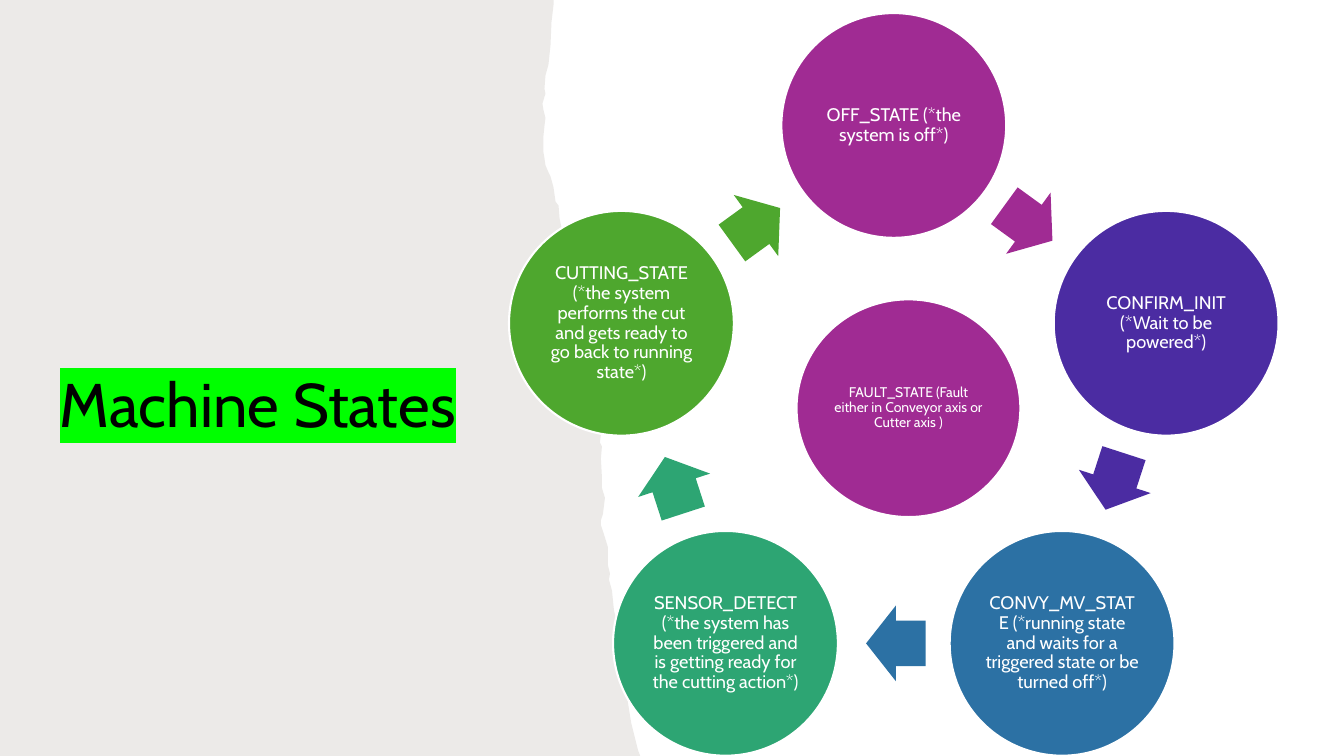
from math import cos, radians, sin

from lxml.etree import SubElement
from pptx import Presentation
from pptx.dml.color import RGBColor
from pptx.enum.shapes import MSO_SHAPE as Shape
from pptx.enum.text import MSO_ANCHOR as Anchor, PP_ALIGN as Align
from pptx.oxml import parse_xml
from pptx.oxml.ns import nsdecls, qn
from pptx.util import Inches, Pt

WHITE = RGBColor(0xFF, 0xFF, 0xFF)
BLACK = RGBColor(0x00, 0x00, 0x00)
STONE = RGBColor(0x82, 0x76, 0x6A)
PURPLE = RGBColor(0xA0, 0x2B, 0x93)
INDIGO = RGBColor(0x4B, 0x2C, 0xA2)
BLUE = RGBColor(0x2C, 0x71, 0xA4)
TEAL = RGBColor(0x2D, 0xA5, 0x73)
GREEN = RGBColor(0x4E, 0xA7, 0x2E)

# Cycle geometry in inches
CENTER_X, CENTER_Y, RADIUS = 8.865, 4.085, 2.84
CIRCLE = 2.23
ARROW_WIDTH, ARROW_HEIGHT = 0.59, 0.75
ARROW_SETBACK = 0.02

STATES = [
    ("OFF_STATE (*the system is off*)", PURPLE),
    ("CONFIRM_INIT (*Wait to be powered*)", INDIGO),
    ("CONVY_MV_STATE (*running state and waits for a triggered state "
     "or be turned off*)", BLUE),
    ("SENSOR_DETECT (*the system has been triggered and is getting ready "
     "for the cutting action*)", TEAL),
    ("CUTTING_STATE (*the system performs the cut and gets ready to go back "
     "to running state*)", GREEN),
]

# Torn edge of the left panel, from top to bottom
TORN_EDGE = [
    (5.49, 0), (5.49, 0.05), (5.47, 0.22), (5.46, 0.45), (5.44, 0.64),
    (5.41, 0.75), (5.4, 0.88), (5.41, 0.93), (5.4, 0.96), (5.38, 1.03),
    (5.39, 1.09), (5.41, 1.17), (5.4, 1.25), (5.39, 1.35), (5.39, 1.51),
    (5.4, 1.57), (5.41, 1.64), (5.44, 1.71), (5.46, 1.75), (5.49, 1.86),
    (5.51, 2), (5.54, 2.04), (5.55, 2.17), (5.57, 2.26), (5.6, 2.38),
    (5.64, 2.47), (5.67, 2.52), (5.68, 2.61), (5.7, 2.74), (5.72, 2.9),
    (5.71, 3.02), (5.74, 3.1), (5.78, 3.14), (5.79, 3.24), (5.83, 3.34),
    (5.87, 3.5), (5.92, 3.69), (5.94, 3.76), (5.96, 3.85), (5.97, 4.05),
    (5.97, 4.2), (5.96, 4.31), (5.95, 4.39), (5.97, 4.43), (5.96, 4.55),
    (5.97, 4.73), (5.97, 4.84), (6, 4.94), (5.99, 5.02), (5.98, 5.1),
    (5.96, 5.16), (5.96, 5.21), (5.99, 5.3), (6.03, 5.43), (6.03, 5.61),
    (6.05, 5.69), (6.04, 5.75), (6.07, 5.86), (6.09, 6.06), (6.12, 6.17),
    (6.14, 6.29), (6.16, 6.34), (6.14, 6.39), (6.16, 6.45), (6.16, 6.54),
    (6.17, 6.69), (6.17, 6.75), (6.18, 6.83), (6.22, 6.92), (6.26, 7.17),
    (6.33, 7.45), (6.35, 7.5),
]


def write_text(shape, text, size, color, frame_format):
    frame = shape.text_frame
    for name, value in frame_format.items():
        setattr(frame, name, value)
    paragraph = frame.paragraphs[0]
    paragraph.alignment = Align.CENTER
    paragraph.line_spacing = 0.9
    run = paragraph.add_run()
    run.text = text
    run.font.size = Pt(size)
    run.font.name = "Cabin"
    run.font.color.rgb = color
    return run


def add_state(left, top, width, height, text, color, size, inset):
    circle = slide.shapes.add_shape(
        Shape.OVAL, Inches(left), Inches(top), Inches(width), Inches(height))
    circle.shadow.inherit = False
    circle.fill.solid()
    circle.fill.fore_color.rgb = color
    circle.line.color.rgb = WHITE
    circle.line.width = Pt(1.5)
    margins = {f"margin_{side}": Inches(inset)
               for side in ("left", "top", "right", "bottom")}
    write_text(circle, text, size, WHITE,
               {"word_wrap": True, "vertical_anchor": Anchor.MIDDLE, **margins})


presentation = Presentation()
presentation.slide_width = Inches(13.33)
presentation.slide_height = Inches(7.5)
slide = presentation.slides.add_slide(presentation.slide_layouts[6])

# Left panel with a torn edge
builder = slide.shapes.build_freeform(0, 0)
builder.add_line_segments(
    [(Inches(x), Inches(y)) for x, y in TORN_EDGE + [(0, 7.5)]], close=True)
panel = builder.convert_to_shape()
panel.shadow.inherit = False
panel.line.fill.background()
panel.fill.solid()
panel.fill.fore_color.rgb = STONE
panel_color = next(panel.element.spPr.iter(qn("a:srgbClr")))
SubElement(panel_color, qn("a:alpha"), val="15000")

# Highlighted title
title = slide.shapes.add_textbox(
    Inches(0.48), Inches(3.52), Inches(4.15), Inches(0.9))
title_run = write_text(title, "Machine States", 44, BLACK,
                       {"word_wrap": True, "vertical_anchor": Anchor.BOTTOM})
title_run.font.fill._xPr.find(qn("a:solidFill")).addnext(parse_xml(
    f'<a:highlight {nsdecls("a")}><a:srgbClr val="00FF00"/></a:highlight>'))

# Cycle of states, each followed by an arrow to the next
step = 360 / len(STATES)
for index, (text, color) in enumerate(STATES):
    angle = radians(index * step)
    add_state(CENTER_X + RADIUS * sin(angle) - CIRCLE / 2,
              CENTER_Y - RADIUS * cos(angle) - CIRCLE / 2,
              CIRCLE, CIRCLE, text, color, 13, 0.02)

    heading = (index + 0.5) * step
    turn = radians(heading)
    reach = RADIUS * cos(radians(step / 2))
    arrow_x = CENTER_X + reach * sin(turn) - ARROW_SETBACK * cos(turn)
    arrow_y = CENTER_Y - reach * cos(turn) - ARROW_SETBACK * sin(turn)
    arrow = slide.shapes.add_shape(
        Shape.RIGHT_ARROW,
        Inches(arrow_x - ARROW_WIDTH / 2), Inches(arrow_y - ARROW_HEIGHT / 2),
        Inches(ARROW_WIDTH), Inches(ARROW_HEIGHT))
    arrow.adjustments[0] = 0.6
    arrow.adjustments[1] = 0.5
    arrow.rotation = heading
    arrow.shadow.inherit = False
    arrow.fill.solid()
    arrow.fill.fore_color.rgb = color
    arrow.line.fill.background()

# Fault state in the middle
add_state(7.9, 2.97, 2.22, 2.16,
          "FAULT_STATE (Fault either in Conveyor axis or Cutter axis )",
          PURPLE, 10, 0.01)

presentation.save("out.pptx")
